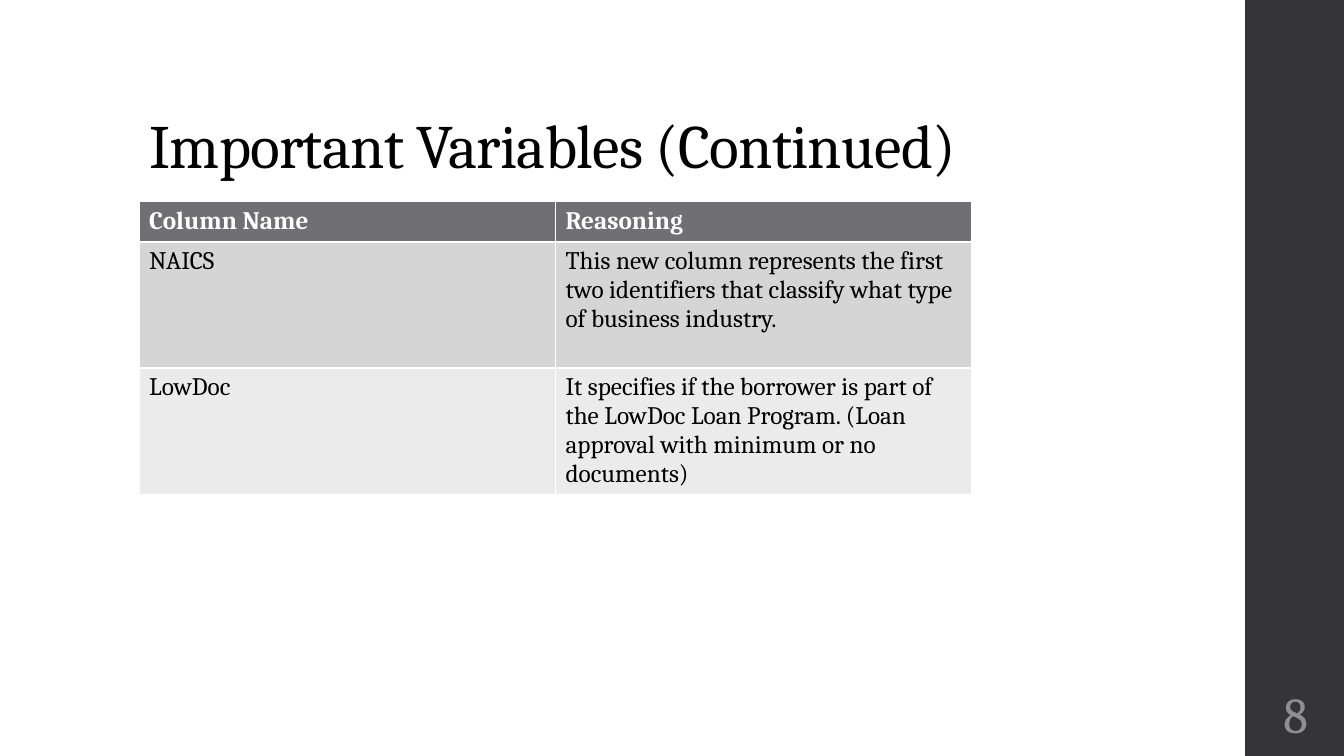
from pptx import Presentation
from pptx.dml.color import RGBColor
from pptx.enum import shapes, text
from pptx.util import Inches, Pt

# Content
TITLE = "Important Variables (Continued)"
PAGE_NUMBER = "8"
ROWS = [
    ("Column Name", "Reasoning"),
    ("NAICS", "This new column represents the first two identifiers that "
              "classify what type of business industry."),
    ("LowDoc", "It specifies if the borrower is part of the LowDoc Loan Program. "
               "(Loan approval with minimum or no documents)"),
]
ROW_FILLS = ["6F6F74", "D5D5D6", "EBEBEB"]
ROW_HEIGHTS = [0.4, 1.25, 1.25]
COLUMN_WIDTH = 4.13
LEFT = 1.38
BAR_LEFT, BAR_WIDTH = 12.35, 1


def color(value):
    return RGBColor.from_string(value)


def style(paragraph, size, value, bold=False):
    font = paragraph.font
    font.name, font.size, font.bold = "Cambria", Pt(size), bold
    font.color.rgb = color(value)


presentation = Presentation()
presentation.slide_width, presentation.slide_height = Inches(13.33), Inches(7.5)
slide = presentation.slides.add_slide(presentation.slide_layouts[5])

# Side bar
bar = slide.shapes.add_shape(
    shapes.MSO_SHAPE.RECTANGLE,
    Inches(BAR_LEFT), 0, Inches(BAR_WIDTH), presentation.slide_height)
bar.shadow.inherit = False
bar.fill.solid()
bar.fill.fore_color.rgb = color("353537")
bar.line.fill.background()

# Title
title = slide.shapes.title
title.left, title.top = Inches(LEFT), Inches(0.4)
title.width, title.height = Inches(10.6), Inches(1.45)
frame = title.text_frame
frame.text = TITLE
frame.word_wrap = True
frame.auto_size = text.MSO_AUTO_SIZE.NONE
frame.vertical_anchor = text.MSO_ANCHOR.BOTTOM
paragraph = frame.paragraphs[0]
paragraph.alignment = text.PP_ALIGN.LEFT
paragraph.line_spacing = 0.9
style(paragraph, 44, "000000")
paragraph.runs[0]._r.get_or_add_rPr().set("spc", "-50")

# Variables table
table = slide.shapes.add_table(
    len(ROWS), len(ROWS[0]), Inches(LEFT), Inches(2),
    Inches(COLUMN_WIDTH * len(ROWS[0])), Inches(sum(ROW_HEIGHTS))).table
for column in table.columns:
    column.width = Inches(COLUMN_WIDTH)
for r, (values, fill, height) in enumerate(zip(ROWS, ROW_FILLS, ROW_HEIGHTS)):
    table.rows[r].height = Inches(height)
    is_header = r == 0
    for c, value in enumerate(values):
        cell = table.cell(r, c)
        cell.text = value
        cell.fill.solid()
        cell.fill.fore_color.rgb = color(fill)
        style(cell.text_frame.paragraphs[0], 18,
              "FFFFFF" if is_header else "000000", is_header)

# Page number
number = slide.shapes.add_textbox(
    Inches(BAR_LEFT), Inches(6.75), Inches(BAR_WIDTH), Inches(0.65))
frame = number.text_frame
frame.text = PAGE_NUMBER
frame.word_wrap = True
frame.vertical_anchor = text.MSO_ANCHOR.MIDDLE
frame.margin_left = frame.margin_right = Inches(0.05)
frame.margin_top = frame.margin_bottom = Inches(0.05)
paragraph = frame.paragraphs[0]
paragraph.alignment = text.PP_ALIGN.CENTER
style(paragraph, 36, "8E8E94")

presentation.save("out.pptx")
